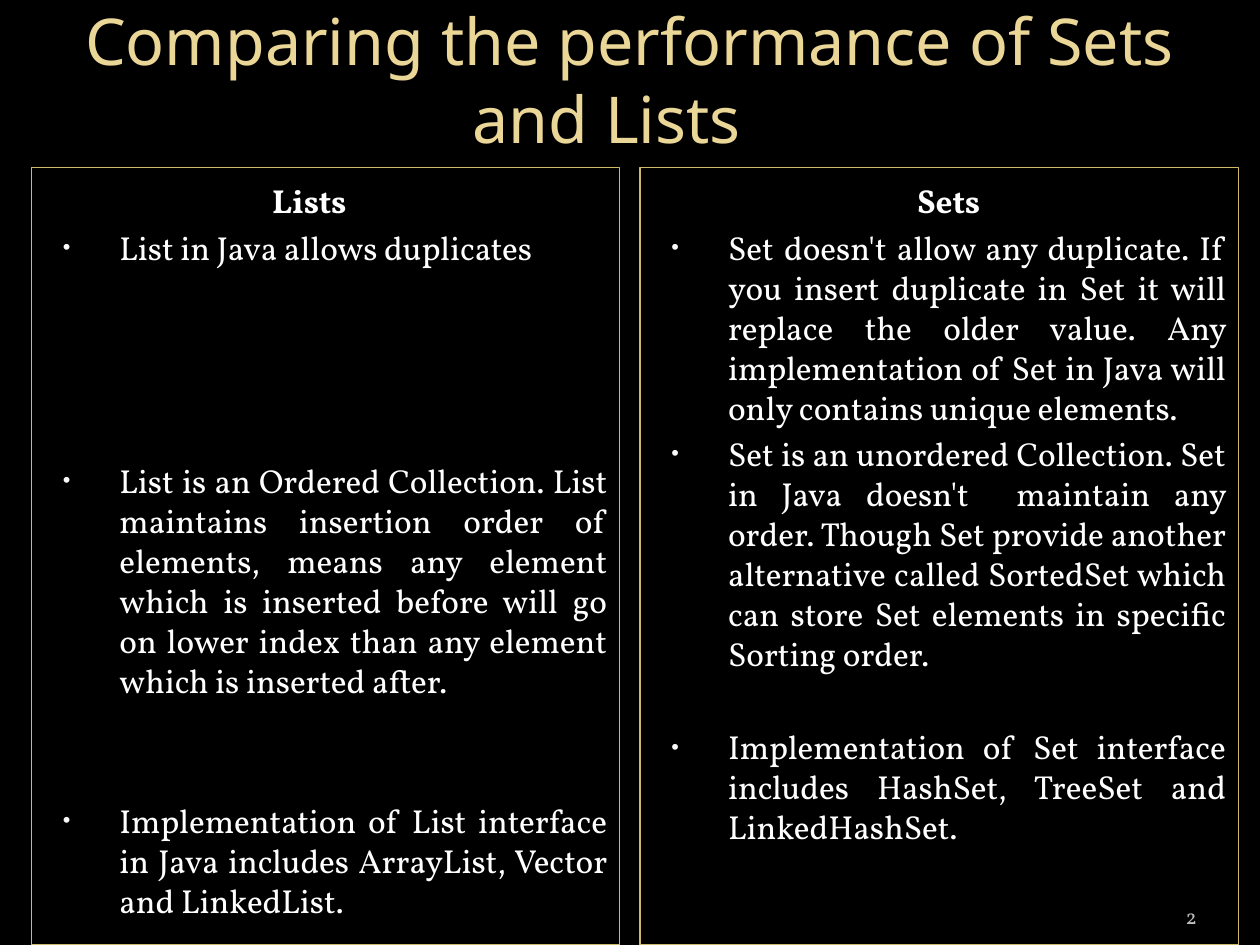
from lxml import etree
from pptx import Presentation
from pptx.dml.color import RGBColor
from pptx.enum.shapes import MSO_SHAPE
from pptx.enum.text import MSO_ANCHOR, PP_ALIGN
from pptx.oxml.ns import qn
from pptx.util import Inches, Pt

LEFT, MID, RIGHT, JUST = PP_ALIGN.LEFT, PP_ALIGN.CENTER, PP_ALIGN.RIGHT, PP_ALIGN.JUSTIFY
TOP, CENTER, BOTTOM = MSO_ANCHOR.TOP, MSO_ANCHOR.MIDDLE, MSO_ANCHOR.BOTTOM
BLACK = RGBColor(0x00, 0x00, 0x00)
WHITE = RGBColor(0xFF, 0xFF, 0xFF)
CREAM = RGBColor(0xEA, 0xD6, 0x96)
GOLD = RGBColor(0xCE, 0xB9, 0x66)
GRAY = RGBColor(0xBD, 0xBD, 0xBD)
SANS, SERIF = "Noto Sans", "Vollkorn"

# Content: each point is (rows left free above it, text)
TITLE = "Comparing the performance of Sets and Lists \t"
PAGE = "2"
PANELS = [
    (0.25, 4.67, "Lists\t", [
        (0, "List in Java allows duplicates"),
        (4, "List is an Ordered Collection. List maintains insertion order of "
            "elements, means any element which is inserted before will go on "
            "lower index than any element which is inserted after."),
        (2, "Implementation of List interface in Java includes ArrayList, "
            "Vector and LinkedList."),
    ]),
    (5.08, 4.75, "Sets", [
        (0, "Set doesn't allow any duplicate. If you insert duplicate in Set it "
            "will replace the older value. Any implementation of Set in Java "
            "will only contains unique elements."),
        (0, "Set is an unordered Collection. Set in Java doesn't  maintain any "
            "order. Though Set provide another alternative called SortedSet "
            "which can store Set elements in specific Sorting order."),
        (1, "Implementation of Set interface includes HashSet, TreeSet and "
            "LinkedHashSet."),
    ]),
]

# Measures
WIDE, HIGH = 10, 7.5
HEAD = 1.33
SIZE, PITCH = 19, 22.86
GAP = SIZE * 0.2


def add_text(frame, text, first=False, size=SIZE, font=SERIF, color=WHITE,
             bold=False, align=LEFT, pitch=None, before=0, indent=None, bullet=False):
    para = frame.paragraphs[0] if first else frame.add_paragraph()
    props = para._p.get_or_add_pPr()
    if indent:
        props.set("marL", str(Inches(indent[0])))
        props.set("indent", str(Inches(indent[1])))
    para.alignment = align
    if pitch:
        para.line_spacing = Pt(pitch)
    para.space_before = Pt(before)
    if bullet:
        tint = etree.SubElement(props, qn("a:buClr"))
        etree.SubElement(tint, qn("a:srgbClr"), val="F9F9F9")
        etree.SubElement(props, qn("a:buSzPct"), val="65000")
        etree.SubElement(props, qn("a:buFont"), typeface="Arial")
        etree.SubElement(props, qn("a:buChar"), char="•")
    run = para.add_run()
    run.text = text
    run.font.size, run.font.name, run.font.bold = Pt(size), font, bold
    run.font.color.rgb = color


def set_frame(shape, anchor, side=0.1, top=0.05):
    frame = shape.text_frame
    frame.word_wrap = True
    frame.vertical_anchor = anchor
    frame.margin_left = frame.margin_right = Inches(side)
    frame.margin_top, frame.margin_bottom = Inches(top), Inches(0.05)
    return frame


deck = Presentation()
deck.slide_width, deck.slide_height = Inches(WIDE), Inches(HIGH)
slide = deck.slides.add_slide(deck.slide_layouts[6])
slide.background.fill.solid()
slide.background.fill.fore_color.rgb = BLACK

# Title
box = slide.shapes.add_textbox(Inches(0.5), 0, Inches(9), Inches(1.25))
add_text(set_frame(box, CENTER), TITLE, first=True, size=36.9, font=SANS,
         color=CREAM, align=MID, pitch=44.6)

# Two framed panels
for left, width, name, points in PANELS:
    panel = slide.shapes.add_shape(MSO_SHAPE.RECTANGLE, Inches(left), Inches(HEAD),
                                   Inches(width), Inches(HIGH - HEAD))
    panel.shadow.inherit = False
    panel.fill.background()
    panel.line.color.rgb = GOLD
    panel.line.width = Pt(0.75)
    frame = set_frame(panel, TOP, top=0.1)
    add_text(frame, name, first=True, bold=True, align=MID, pitch=PITCH,
             indent=(0.15, 0))
    for free, text in points:
        add_text(frame, text, align=JUST, pitch=PITCH, indent=(0.6, -0.45),
                 before=GAP + free * (PITCH + GAP), bullet=True)

# Page number
box = slide.shapes.add_textbox(Inches(8.67), Inches(7.02), Inches(0.83), Inches(0.4))
add_text(set_frame(box, BOTTOM, side=0), PAGE, first=True, size=12, color=GRAY,
         align=RIGHT)

deck.save("out.pptx")
